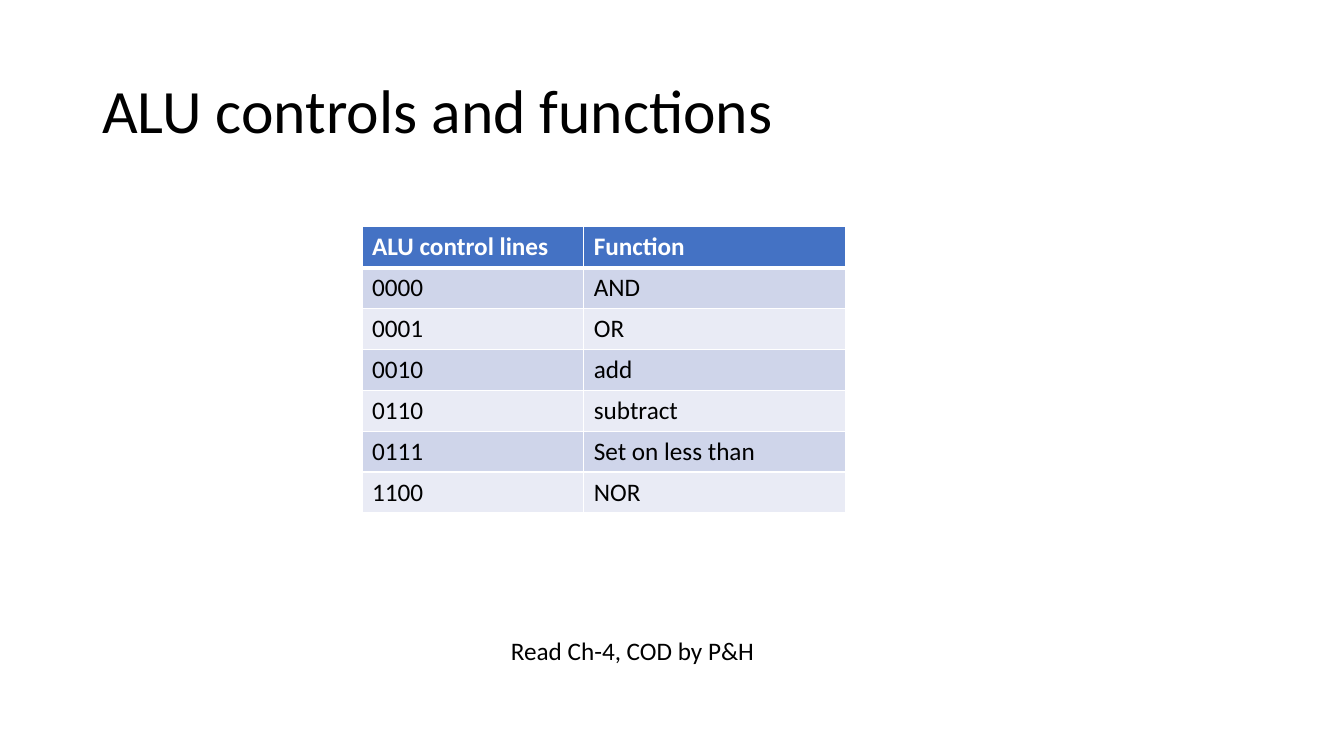
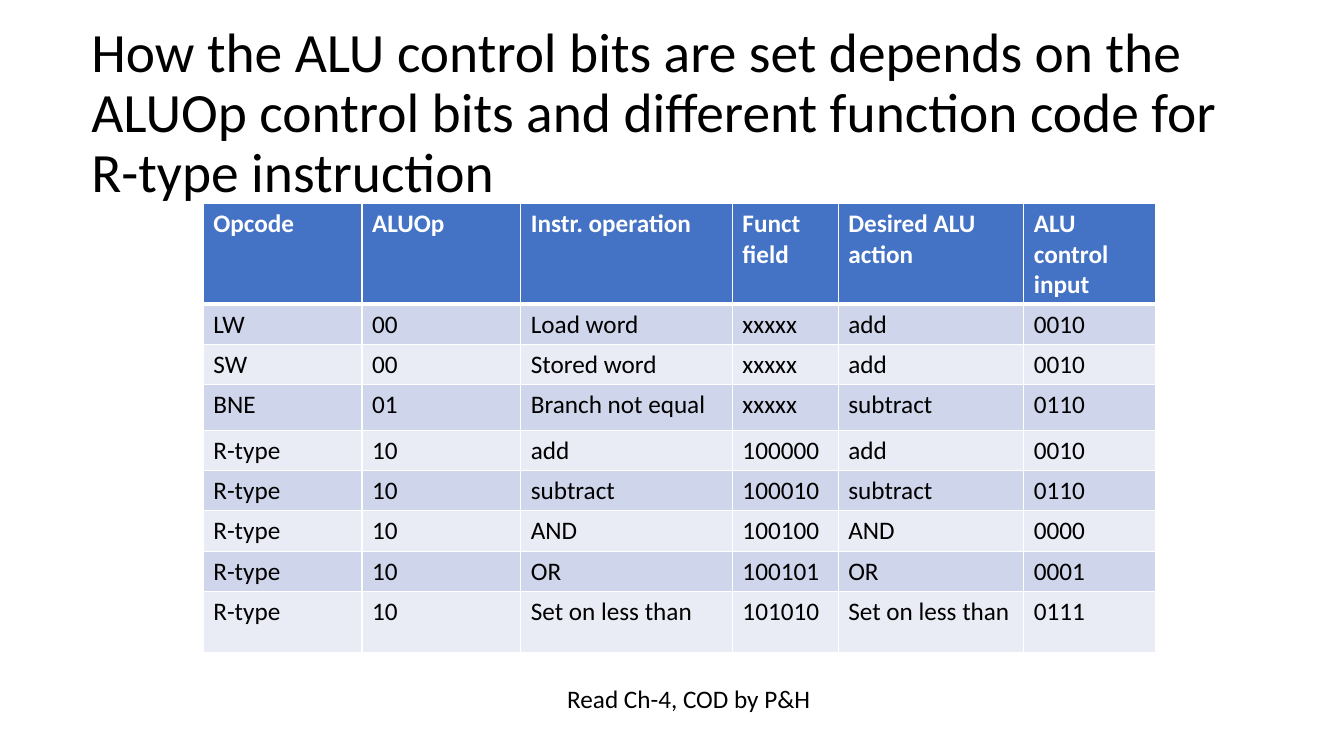
import pptx
import pptx.dml.color
import pptx.enum.text
import pptx.oxml.ns
import pptx.util
import lxml.etree

COLORS = {
    "text": "000000",
    "header": "4472C4",
    "header text": "FFFFFF",
    "odd band": "CFD5EA",
    "even band": "E9EBF5",
    "border": "FFFFFF",
}
FONT = "Calibri"
BODY_SIZE = 18
GRID_COLUMNS, GRID_ROWS = 160, 90
WIDE = 138
SOURCE_NOTE = "Read Ch-4, COD by P&H"


def rgb(name):
    return pptx.dml.color.RGBColor.from_string(COLORS[name])


class Deck:
    """Holds the style and the current slide; lengths are grid columns and rows."""

    def __init__(self):
        self.presentation = pptx.Presentation()
        self.presentation.slide_width = pptx.util.Inches(13.33)
        self.presentation.slide_height = pptx.util.Inches(7.5)
        self.slide = None

    def columns(self, count):
        return round(self.presentation.slide_width * count / GRID_COLUMNS)

    def rows(self, count):
        return round(self.presentation.slide_height * count / GRID_ROWS)

    def add_slide(self):
        blank = self.presentation.slide_layouts[6]
        self.slide = self.presentation.slides.add_slide(blank)

    def style(self, paragraph, size, color="text", bold=False):
        for run in paragraph.runs:
            run.font.name = FONT
            run.font.size = pptx.util.Pt(size)
            run.font.bold = bold
            run.font.color.rgb = rgb(color)

    def text(self, text, left, top, width, height, size):
        """Add a wrapped text box and return its text frame."""
        box = self.slide.shapes.add_textbox(
            self.columns(left), self.rows(top), self.columns(width), self.rows(height))
        frame = box.text_frame
        frame.word_wrap = True
        frame.text = text
        self.style(frame.paragraphs[0], size)
        return frame

    def title(self, text, left, top, height, size=44):
        frame = self.text(text, left, top, WIDE, height, size)
        frame.vertical_anchor = pptx.enum.text.MSO_ANCHOR.MIDDLE
        frame.paragraphs[0].line_spacing = 0.9

    def note(self, text, left, top):
        frame = self.text(text, left, top, WIDE, 4.8, BODY_SIZE)
        frame.paragraphs[0].alignment = pptx.enum.text.PP_ALIGN.CENTER

    def borders(self, cell, top, bottom):
        """Draw the four cell borders; top and bottom are widths in points."""
        properties = cell._tc.get_or_add_tcPr()
        for side, width in (("L", 1), ("R", 1), ("T", top), ("B", bottom)):
            line = lxml.etree.SubElement(properties, pptx.oxml.ns.qn("a:ln" + side))
            line.set("w", str(pptx.util.Pt(width)))
            fill = lxml.etree.SubElement(line, pptx.oxml.ns.qn("a:solidFill"))
            color = lxml.etree.SubElement(fill, pptx.oxml.ns.qn("a:srgbClr"))
            color.set("val", COLORS["border"])

    def cell(self, cell, text, row):
        is_header = row == 0
        self.borders(cell, top=3 if row == 1 else 1, bottom=3 if is_header else 1)
        band = "header" if is_header else "odd band" if row % 2 else "even band"
        cell.fill.solid()
        cell.fill.fore_color.rgb = rgb(band)
        cell.text_frame.text = text
        self.style(cell.text_frame.paragraphs[0], BODY_SIZE,
                   "header text" if is_header else "text", is_header)

    def table(self, records, left, top, widths, heights):
        """Add a banded table whose first record is the header."""
        frame = self.slide.shapes.add_table(
            len(records), len(widths), self.columns(left), self.rows(top),
            self.columns(sum(widths)), self.rows(sum(heights)))
        table = frame.table
        table.horz_banding = False
        for column, width in zip(table.columns, widths):
            column.width = self.columns(width)
        for row, (record, height) in enumerate(zip(records, heights)):
            table.rows[row].height = self.rows(height)
            for column, text in enumerate(record):
                self.cell(table.cell(row, column), text, row)


ALU_FUNCTIONS = [
    ("ALU control lines", "Function"),
    ("0000", "AND"),
    ("0001", "OR"),
    ("0010", "add"),
    ("0110", "subtract"),
    ("0111", "Set on less than"),
    ("1100", "NOR"),
]
CONTROL_BITS = [
    ("Opcode", "ALUOp", "Instr. operation", "Funct field",
     "Desired ALU action", "ALU control input"),
    ("LW", "00", "Load word", "xxxxx", "add", "0010"),
    ("SW", "00", "Stored word", "xxxxx", "add", "0010"),
    ("BNE", "01", "Branch not equal", "xxxxx", "subtract", "0110"),
    ("R-type", "10", "add", "100000", "add", "0010"),
    ("R-type", "10", "subtract", "100010", "subtract", "0110"),
    ("R-type", "10", "AND", "100100", "AND", "0000"),
    ("R-type", "10", "OR", "100101", "OR", "0001"),
    ("R-type", "10", "Set on less than", "101010", "Set on less than", "0111"),
]


def main():
    deck = Deck()

    deck.add_slide()
    deck.title("ALU controls and functions", left=11, top=4.8, height=17.4)
    deck.note(SOURCE_NOTE, left=6.3, top=75.1)
    deck.table(ALU_FUNCTIONS, left=43.1, top=27, widths=[26.4, 31.2],
               heights=[4.87] * len(ALU_FUNCTIONS))

    deck.add_slide()
    deck.title("How the ALU control bits are set depends on the ALUOp control bits "
               "and different function code for R-type instruction",
               left=9.7, top=3.6, height=20, size=39.6)
    deck.note(SOURCE_NOTE, left=13, top=80.8)
    deck.table(CONTROL_BITS, left=24.2, top=24.2,
               widths=[18.9, 18.9, 25.2, 12.6, 22.1, 15.7],
               heights=[11.7, 4.7, 4.7, 5.4] + [4.7] * 4 + [7.3])

    deck.presentation.save("out.pptx")


if __name__ == "__main__":
    main()
